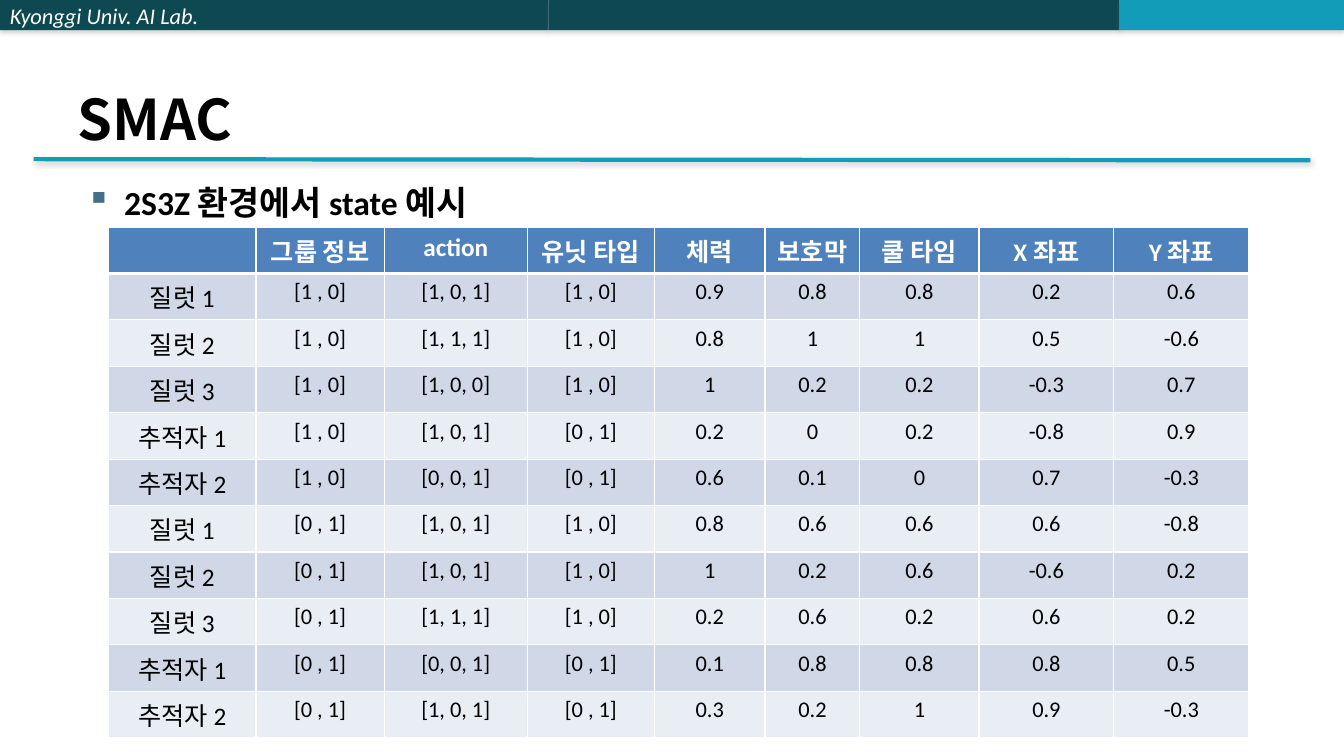
from lxml.etree import SubElement
from pptx import Presentation
from pptx.dml.color import RGBColor
from pptx.enum.shapes import MSO_CONNECTOR as Conn, MSO_SHAPE as Shape
from pptx.enum.text import MSO_ANCHOR as Anchor, PP_ALIGN as Align
from pptx.oxml.ns import qn
from pptx.util import Cm, Pt

DARK, TEAL, SLATE = "0E4851", "139CB7", "437085"
BLACK, WHITE, GREY = "000000", "FFFFFF", "808080"
HEAD, BANDS = "4F81BD", ("D0D8E8", "E9EDF4")

COLS = (3.71, 3.23, 3.61, 3.2, 2.79, 2.39, 3, 3.4, 3.4)
ROWS = [line.split("|") for line in (
    "|그룹 정보|action|유닛 타입|체력|보호막|쿨 타임|X 좌표|Y 좌표",
    "질럿 1|[1 , 0]|[1, 0, 1]|[1 , 0]|0.9|0.8|0.8|0.2|0.6",
    "질럿 2|[1 , 0]|[1, 1, 1]|[1 , 0]|0.8|1|1|0.5|-0.6",
    "질럿 3|[1 , 0]|[1, 0, 0]|[1 , 0]|1|0.2|0.2|-0.3|0.7",
    "추적자 1|[1 , 0]|[1, 0, 1]|[0 , 1]|0.2|0|0.2|-0.8|0.9",
    "추적자 2|[1 , 0]|[0, 0, 1]|[0 , 1]|0.6|0.1|0|0.7|-0.3",
    "질럿 1|[0 , 1]|[1, 0, 1]|[1 , 0]|0.8|0.6|0.6|0.6|-0.8",
    "질럿 2|[0 , 1]|[1, 0, 1]|[1 , 0]|1|0.2|0.6|-0.6|0.2",
    "질럿 3|[0 , 1]|[1, 1, 1]|[1 , 0]|0.2|0.6|0.2|0.6|0.2",
    "추적자 1|[0 , 1]|[0, 0, 1]|[0 , 1]|0.1|0.8|0.8|0.8|0.5",
    "추적자 2|[0 , 1]|[1, 0, 1]|[0 , 1]|0.3|0.2|1|0.9|-0.3",
)]


def rgb(code):
    return RGBColor.from_string(code)


def solid(parent, code):
    fill = SubElement(parent, qn("a:solidFill"))
    return SubElement(fill, qn("a:srgbClr"), val=code)


class Deck:
    font, asian = "Calibri", "Noto Sans CJK KR"

    def __init__(self, wide, high):
        self.prs = Presentation()
        self.prs.slide_width, self.prs.slide_height = Cm(wide), Cm(high)
        self.slide = self.prs.slides.add_slide(self.prs.slide_layouts[5])
        self.items = self.slide.shapes

    def run(self, para, text, size, color, bold=False, italic=False, face=None):
        run = para.add_run()
        run.text = text
        font = run.font
        font.size, font.bold, font.italic = Pt(size), bold, italic
        font.color.rgb = rgb(color)
        font.name = face or self.font
        SubElement(run._r.get_or_add_rPr(), qn("a:ea"), typeface=self.asian)

    def shade(self, item, alpha, dist):
        effects = SubElement(item._element.spPr, qn("a:effectLst"))
        shadow = SubElement(effects, qn("a:outerShdw"), blurRad=str(Pt(3.1)),
                            dist=str(Pt(dist)), dir="5400000", rotWithShape="0")
        tone = SubElement(shadow, qn("a:srgbClr"), val=GREY)
        SubElement(tone, qn("a:alpha"), val=str(alpha * 1000))

    def bar(self, x, wide, color, text=None):
        bar = self.items.add_shape(Shape.RECTANGLE, Cm(x), 0, Cm(wide), Cm(0.76))
        bar.fill.solid()
        bar.fill.fore_color.rgb = rgb(color)
        bar.line.fill.background()
        self.shade(bar, 35, 1.8)
        if text:
            bar.text_frame.vertical_anchor = Anchor.MIDDLE
            para = bar.text_frame.paragraphs[0]
            para.alignment = Align.LEFT
            self.run(para, text, 16, WHITE, italic=True)

    def rule(self, x1, y1, x2, y2):
        line = self.items.add_connector(Conn.STRAIGHT, Cm(x1), Cm(y1), Cm(x2), Cm(y2))
        line.line.color.rgb = rgb(TEAL)
        line.line.width = Pt(3)
        self.shade(line, 38, 1.6)

    def title(self, text, x, y, wide, high):
        box = self.items.title
        box.left, box.top, box.width, box.height = Cm(x), Cm(y), Cm(wide), Cm(high)
        box.text_frame.vertical_anchor = Anchor.BOTTOM
        para = box.text_frame.paragraphs[0]
        para.alignment = Align.LEFT
        self.run(para, text, 40, BLACK, bold=True, face=self.asian)

    def bullet(self, text, x, y, wide, high):
        box = self.items.add_textbox(Cm(x), Cm(y), Cm(wide), Cm(high))
        box.text_frame.word_wrap = True
        para = box.text_frame.paragraphs[0]
        props = para._p.get_or_add_pPr()
        props.set("marL", str(Cm(0.95)))
        props.set("indent", str(-Cm(0.95)))
        tint = SubElement(props, qn("a:buClr"))
        SubElement(tint, qn("a:srgbClr"), val=SLATE)
        SubElement(props, qn("a:buChar"), char="▪")
        self.run(para, text, 24, BLACK, bold=True)

    def cell(self, cell, text, fill, size, color, bold, top, bottom):
        props = cell._tc.get_or_add_tcPr()
        for side, width in zip("LRTB", (1, 1, top, bottom)):
            edge = SubElement(props, qn("a:ln" + side), w=str(Pt(width)))
            solid(edge, WHITE)
        cell.fill.solid()
        cell.fill.fore_color.rgb = rgb(fill)
        para = cell.text_frame.paragraphs[0]
        para.alignment = Align.CENTER
        if text:
            self.run(para, text, size, color, bold)

    def table(self, rows, cols, x, y, step):
        frame = self.items.add_table(len(rows), len(cols), Cm(x), Cm(y),
                                     Cm(sum(cols)), Cm(step * len(rows)))
        table = frame.table
        table.horz_banding = False
        for col, wide in zip(table.columns, cols):
            col.width = Cm(wide)
        for i, row in enumerate(rows):
            table.rows[i].height = Cm(step)
            head = i == 0
            fill = HEAD if head else BANDS[(i - 1) % 2]
            for j, text in enumerate(row):
                self.cell(table.cell(i, j), text, fill,
                          18 if head or j == 0 else 16,
                          WHITE if head else BLACK, head,
                          3 if i == 1 else 1, 3 if head else 1)


def main():
    deck = Deck(33.87, 19.05)

    # Top band and title rule
    deck.bar(0, 13.82, DARK, "Kyonggi Univ. AI Lab.")
    deck.bar(13.82, 14.4, DARK)
    deck.bar(28.22, 5.65, TEAL)
    deck.rule(0.85, 4.01, 33.02, 4.04)

    # Heading and lead line
    deck.title("SMAC", 1.7, 0.76, 30.48, 3.18)
    deck.bullet("2S3Z 환경에서 state 예시", 1.93, 4.45, 30.48, 13.77)

    # State table
    deck.table(ROWS, COLS, 2.74, 5.72, 1.17)

    deck.prs.save("out.pptx")


if __name__ == "__main__":
    main()
